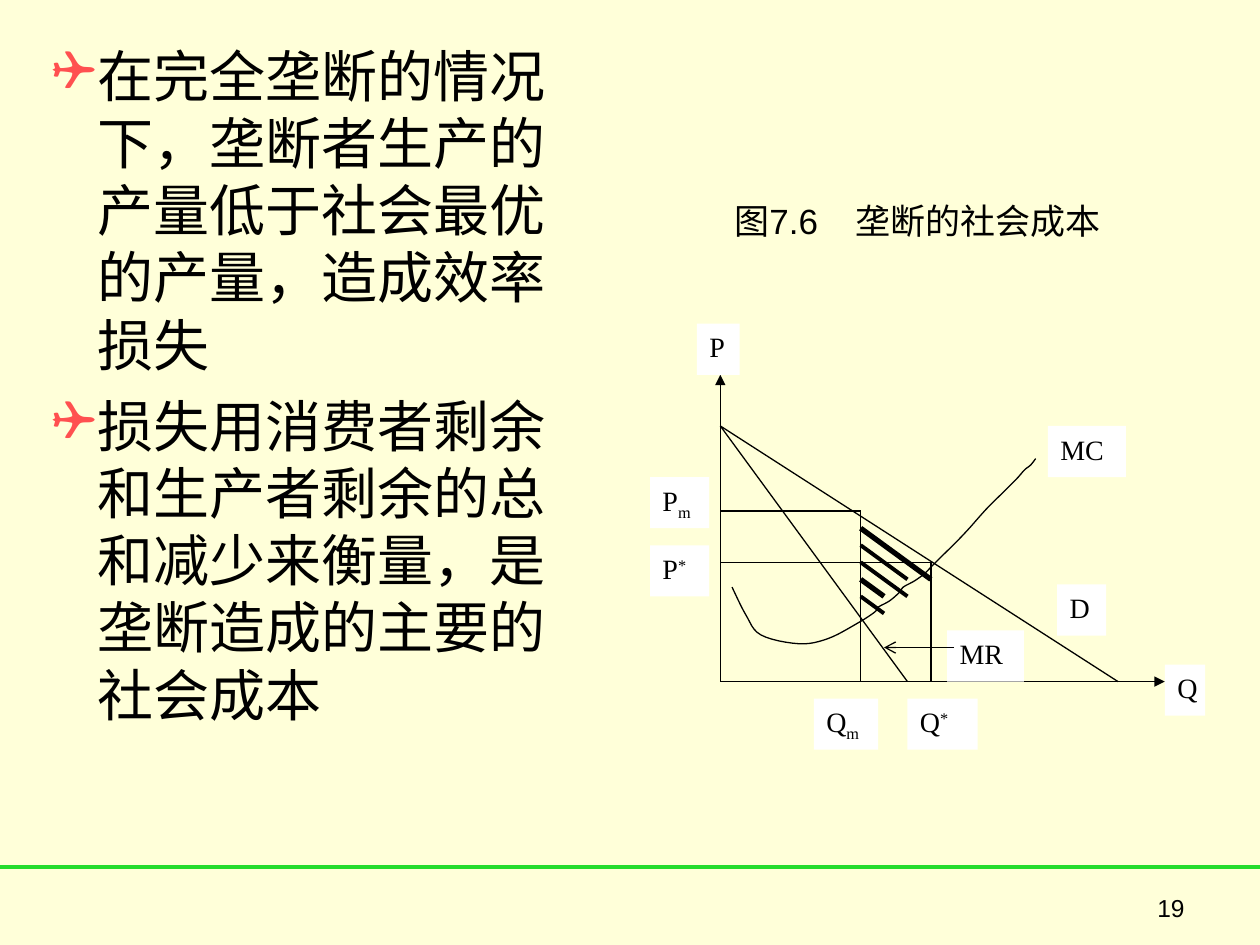
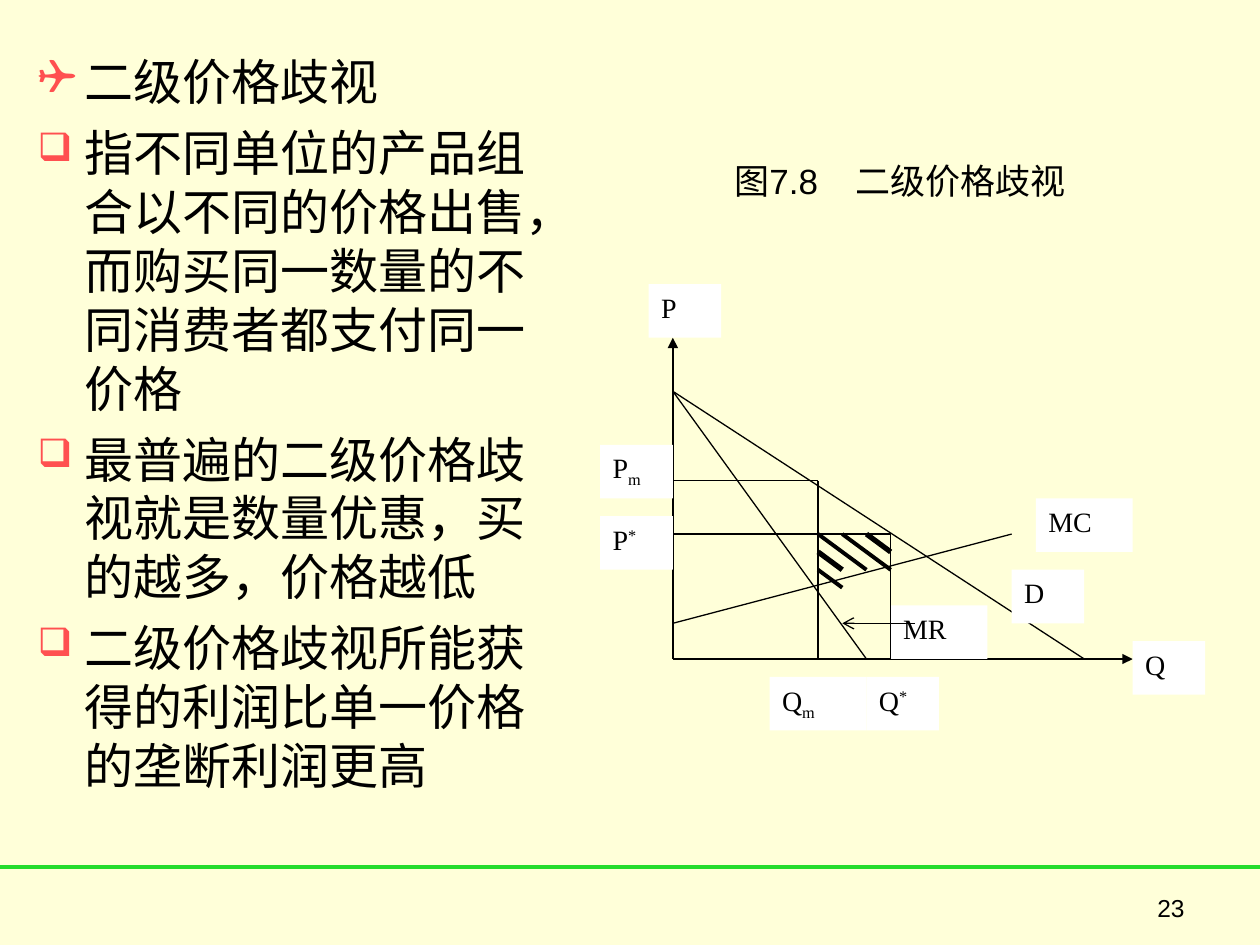
from dataclasses import dataclass

from lxml import etree
from pptx import Presentation
from pptx.dml.color import RGBColor
from pptx.enum.shapes import MSO_CONNECTOR, MSO_SHAPE
from pptx.enum.text import MSO_ANCHOR, PP_ALIGN
from pptx.oxml.ns import qn
from pptx.shapes.connector import Connector
from pptx.slide import Slide
from pptx.text.text import TextFrame, _Paragraph, _Run
from pptx.util import Pt

CREAM = RGBColor(0xFF, 0xFF, 0xD9)
GREEN = RGBColor(0x24, 0xDC, 0x2D)
CORAL = RGBColor(0xFF, 0x50, 0x50)
BLACK = RGBColor(0, 0, 0)
WHITE = RGBColor(0xFF, 0xFF, 0xFF)

STRAIGHT = MSO_CONNECTOR.STRAIGHT
RECTANGLE = MSO_SHAPE.RECTANGLE
TOP = MSO_ANCHOR.TOP
MIDDLE = MSO_ANCHOR.MIDDLE
JUSTIFY = PP_ALIGN.JUSTIFY
RIGHT = PP_ALIGN.RIGHT

BODY_FONT = "Arial"
LABEL_FONT = "Times New Roman"
PLANE = "✈"
BOX = "❑"
BULLET_SCALES = {PLANE: 100, BOX: 80}
SCRIPT_BASELINES = {"*": 30, "m": -25}
THIN, MEDIUM, THICK = 0.75, 2.25, 3
LABEL_ROWS = 3

Point = tuple[float, float]


@dataclass(frozen=True)
class Bullet:
    symbol: str
    text: str


@dataclass(frozen=True)
class Body:
    top: float
    width: float
    height: float
    size: float
    margin: float
    indent: float
    space_before: float
    bullets: list[Bullet]


@dataclass(frozen=True)
class Segment:
    start: Point
    end: Point
    weight: float = THIN
    arrow: str = ""


@dataclass(frozen=True)
class Label:
    text: str
    column: float
    row: float
    columns: float
    script: str = ""


@dataclass(frozen=True)
class Diagram:
    origin: Point
    column_width: float
    row_height: float
    extra_segments: list[Segment]
    labels: list[Label]
    cost_curve: list[Point]

    def position(self, point: Point) -> Point:
        return (self.origin[0] + point[0] * self.column_width,
                self.origin[1] - point[1] * self.row_height)


@dataclass(frozen=True)
class Page:
    number: str
    body: Body
    caption: str
    caption_top: float
    diagram: Diagram


SHARED_SEGMENTS = [
    Segment((0, 0), (19, 0), arrow="triangle"),
    Segment((0, 0), (0, 18), arrow="triangle"),
    Segment((0, 15), (17, 0)),
    Segment((0, 15), (8, 0)),
    Segment((6, 0), (6, 10)),
    Segment((0, 7), (9, 7)),
    Segment((9, 7), (9, 0)),
    Segment((6, 10), (0, 10)),
]
MARGINAL_REVENUE_POINTER = Segment((10, 2), (7, 2), arrow="arrow")

SOCIAL_COST_CURVE = [
    (418.3, 335.5), (426.2, 351.4), (434.9, 362.9), (456.5, 367.9), (473, 365),
    (489.6, 356.4), (499.7, 349.9), (501.8, 347), (508.3, 343.4), (514.1, 338.4),
    (516.2, 335.5), (522.7, 331.9), (528.5, 327.6), (534.2, 321.8), (550.1, 306),
    (563, 291.6), (573.1, 281.5), (581, 273.6), (585.4, 268.6), (589, 265.7),
    (591.8, 262.1),
]

PAGES = [
    Page(
        "19",
        Body(20, 323, 459, 32, 34, -26, 8, [
            Bullet(PLANE, "在完全垄断的情况下，垄断者生产的产量低于社会最优的产量，造成效率损失"),
            Bullet(PLANE, "损失用消费者剩余和生产者剩余的总和减少来衡量，是垄断造成的主要的社会成本"),
        ]),
        "图7.6\t垄断的社会成本", 110.2,
        Diagram(
            (411.6, 389.5), 13.37, 9.74,
            [
                Segment((6, 8), (8, 6), MEDIUM),
                Segment((6, 7), (8, 5), MEDIUM),
                Segment((6, 5), (7, 4), MEDIUM),
                Segment((6, 9), (9, 6), THICK),
                Segment((6, 6), (7, 5), THICK),
            ],
            [
                Label("P", -1, 21, 1.83),
                Label("P", -3, 8, 2.53, "*"),
                Label("MC", 14, 15, 3.34),
                Label("Q", 8, -1, 3, "*"),
                Label("Q", 4, -1, 2.75, "m"),
                Label("Q", 19, 1, 1.72),
                Label("P", -3, 12, 2.53, "m"),
                Label("D", 14.4, 5.7, 2.1),
                Label("MR", 9.7, 3, 3.28),
            ],
            SOCIAL_COST_CURVE,
        ),
    ),
    Page(
        "23",
        Body(26, 317.5, 453.5, 28, 27, -27, 7, [
            Bullet(PLANE, "二级价格歧视"),
            Bullet(BOX, "指不同单位的产品组合以不同的价格出售，而购买同一数量的不同消费者都支付同一价格"),
            Bullet(BOX, "最普遍的二级价格歧视就是数量优惠，买的越多，价格越低"),
            Bullet(BOX, "二级价格歧视所能获得的利润比单一价格的垄断利润更高"),
        ]),
        "图7.8\t二级价格歧视", 87.1,
        Diagram(
            (384.5, 376.6), 13.83, 10.2,
            [
                Segment((0, 2), (14, 7)),
                Segment((7, 7), (9, 5), MEDIUM),
                Segment((6, 7), (8, 5), MEDIUM),
                Segment((6, 5), (7, 4), MEDIUM),
                Segment((8, 7), (9, 6), THICK),
                Segment((6, 6), (7, 5), THICK),
            ],
            [
                Label("P", -1, 21, 3),
                Label("P", -3, 8, 3, "*"),
                Label("MC", 15, 9, 4),
                Label("Q", 8, -1, 3, "*"),
                Label("Q", 4, -1, 4, "m"),
                Label("Q", 19, 1, 3),
                Label("P", -3, 12, 3, "m"),
                Label("D", 14, 5, 3),
                Label("MR", 9, 3, 4),
            ],
            [],
        ),
    ),
]


def style_run(run: _Run, font_name: str, size: float) -> None:
    run.font.name = font_name
    run.font.size = Pt(size)
    run.font.color.rgb = BLACK


def add_line(slide: Slide, start: Point, end: Point, color: RGBColor,
             weight: float, arrow: str = "") -> Connector:
    line = slide.shapes.add_connector(
        STRAIGHT, Pt(start[0]), Pt(start[1]), Pt(end[0]), Pt(end[1]))
    line.line.color.rgb = color
    line.line.width = Pt(weight)
    if arrow:
        etree.SubElement(line.line._get_or_add_ln(), qn("a:tailEnd"), type=arrow)
    etree.SubElement(line._element.spPr, qn("a:effectLst"))
    return line


def add_text_frame(slide: Slide, left: float, top: float,
                   width: float, height: float) -> TextFrame:
    box = slide.shapes.add_textbox(Pt(left), Pt(top), Pt(width), Pt(height))
    box.text_frame.word_wrap = True
    return box.text_frame


def set_bullet(paragraph: _Paragraph, symbol: str, body: Body) -> None:
    properties = paragraph._p.get_or_add_pPr()
    properties.set("marL", str(Pt(body.margin)))
    properties.set("indent", str(Pt(body.indent)))
    color = etree.SubElement(properties, qn("a:buClr"))
    etree.SubElement(color, qn("a:srgbClr"), val=str(CORAL))
    scale = BULLET_SCALES[symbol] * 1000
    etree.SubElement(properties, qn("a:buSzPct"), val=str(scale))
    etree.SubElement(properties, qn("a:buChar"), char=symbol)


def add_body(slide: Slide, body: Body) -> None:
    text_frame = add_text_frame(slide, 14.4, body.top, body.width, body.height)
    for index, bullet in enumerate(body.bullets):
        paragraph = text_frame.add_paragraph() if index else text_frame.paragraphs[0]
        paragraph.text = bullet.text
        set_bullet(paragraph, bullet.symbol, body)
        if index:
            paragraph.space_before = Pt(body.space_before)
        style_run(paragraph.runs[0], BODY_FONT, body.size)


def add_caption(slide: Slide, text: str, top: float) -> None:
    text_frame = add_text_frame(slide, 412.6, top, 227.5, 31.7)
    text_frame.vertical_anchor = MIDDLE
    paragraph = text_frame.paragraphs[0]
    paragraph.text = text
    tabs = etree.SubElement(paragraph._p.get_or_add_pPr(), qn("a:tabLst"))
    etree.SubElement(tabs, qn("a:tab"), pos=str(Pt(69)), algn="l")
    for run in paragraph.runs:
        style_run(run, BODY_FONT, 20)


def add_label(slide: Slide, diagram: Diagram, label: Label) -> None:
    left, top = diagram.position((label.column, label.row))
    shape = slide.shapes.add_shape(
        RECTANGLE, Pt(left), Pt(top), Pt(label.columns * diagram.column_width),
        Pt(LABEL_ROWS * diagram.row_height))
    shape.shadow.inherit = False
    shape.fill.solid()
    shape.fill.fore_color.rgb = WHITE
    shape.line.fill.background()
    shape.text_frame.word_wrap = True
    shape.text_frame.vertical_anchor = TOP
    paragraph = shape.text_frame.paragraphs[0]
    paragraph.text = label.text
    paragraph.alignment = JUSTIFY
    if label.script:
        script = paragraph.add_run()
        script.text = label.script
        baseline = SCRIPT_BASELINES[label.script] * 1000
        script._r.get_or_add_rPr().set("baseline", str(baseline))
    for run in paragraph.runs:
        style_run(run, LABEL_FONT, 16)


def smooth(points: list[Point], steps: int = 6) -> list[Point]:
    padded = [points[0], *points, points[-1]]
    result = [points[0]]
    for a, b, c, d in zip(padded, padded[1:], padded[2:], padded[3:]):
        for step in range(1, steps + 1):
            t = step / steps
            x, y = (
                0.5 * (2 * q + (r - p) * t + (2 * p - 5 * q + 4 * r - s) * t ** 2
                       + (3 * q - p - 3 * r + s) * t ** 3)
                for p, q, r, s in zip(a, b, c, d))
            result.append((x, y))
    return result


def add_curve(slide: Slide, points: list[Point]) -> None:
    vertices = [(Pt(x), Pt(y)) for x, y in smooth(points)]
    builder = slide.shapes.build_freeform(*vertices[0])
    builder.add_line_segments(vertices[1:], close=False)
    curve = builder.convert_to_shape()
    curve.shadow.inherit = False
    curve.fill.background()
    curve.line.color.rgb = BLACK
    curve.line.width = Pt(THIN)


def add_segment(slide: Slide, diagram: Diagram, segment: Segment) -> None:
    add_line(slide, diagram.position(segment.start), diagram.position(segment.end),
             BLACK, segment.weight, segment.arrow)


def add_diagram(slide: Slide, diagram: Diagram) -> None:
    for segment in SHARED_SEGMENTS + diagram.extra_segments:
        add_segment(slide, diagram, segment)
    for label in diagram.labels:
        add_label(slide, diagram, label)
    add_segment(slide, diagram, Segment((9, 3), (9, 0)))
    add_segment(slide, diagram, MARGINAL_REVENUE_POINTER)
    if diagram.cost_curve:
        add_curve(slide, diagram.cost_curve)


def add_page_number(slide: Slide, number: str) -> None:
    paragraph = add_text_frame(slide, 586.8, 506.9, 97.2, 37.4).paragraphs[0]
    paragraph.text = number
    paragraph.alignment = RIGHT
    style_run(paragraph.runs[0], BODY_FONT, 14)


def main() -> None:
    presentation = Presentation()
    presentation.slide_width = Pt(720)
    presentation.slide_height = Pt(540)
    for page in PAGES:
        slide = presentation.slides.add_slide(presentation.slide_layouts[6])
        slide.background.fill.solid()
        slide.background.fill.fore_color.rgb = CREAM
        add_line(slide, (0, 495.4), (720, 495.4), GREEN, MEDIUM)
        add_body(slide, page.body)
        add_diagram(slide, page.diagram)
        add_caption(slide, page.caption, page.caption_top)
        add_page_number(slide, page.number)
    presentation.save("out.pptx")


if __name__ == "__main__":
    main()
